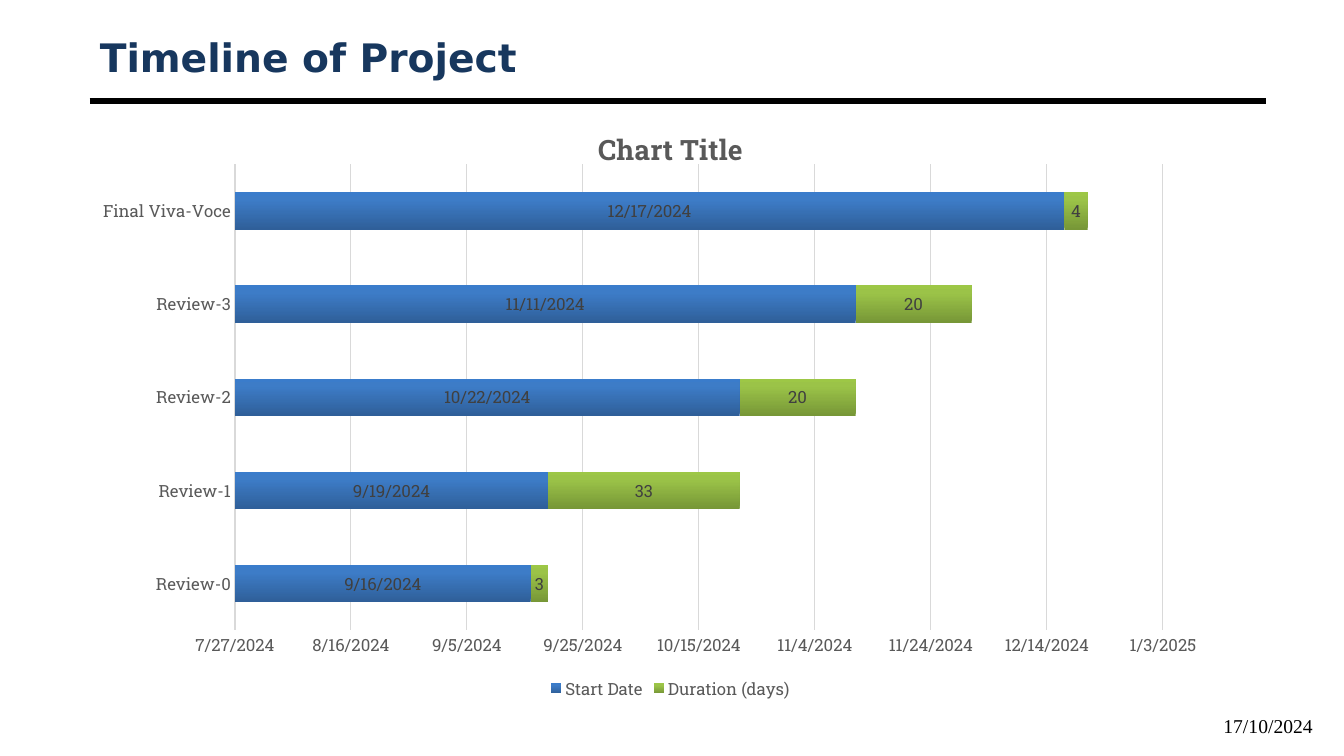
from copy import deepcopy
from dataclasses import dataclass

from lxml.etree import SubElement
from pptx import Presentation
from pptx.chart.data import CategoryChartData
from pptx.dml.color import RGBColor
from pptx.enum.chart import (XL_CHART_TYPE as ChartType, XL_LABEL_POSITION as LabelPos,
                             XL_LEGEND_POSITION as LegendPos, XL_TICK_MARK as TickMark)
from pptx.enum.shapes import MSO_CONNECTOR as Connector
from pptx.enum.text import MSO_ANCHOR as Anchor, PP_ALIGN as Align
from pptx.oxml.ns import qn
from pptx.util import Inches, Pt


@dataclass(frozen=True)
class Theme:
    title: str = "17375E"
    ink: str = "000000"
    label: str = "404040"
    axis: str = "595959"
    grid: str = "D9D9D9"
    start: tuple = ((0, "2F5F99"), (0.8, "3D7CC7"), (1, "3A7CCB"))
    duration: tuple = ((0, "779737"), (0.8, "9BC348"), (1, "9DC746"))
    title_font: str = "DejaVu Sans"
    chart_font: str = "Roboto Slab"
    date_font: str = "Times New Roman"
    title_size: int = 28
    heading_size: int = 20
    date_size: int = 14
    chart_size: int = 12


@dataclass(frozen=True)
class Box:
    left: float
    top: float
    width: float
    height: float

    def lengths(self):
        return [Inches(n) for n in (self.left, self.top, self.width, self.height)]


THEME = Theme()
DATE_FORMAT = "m/d/yyyy"
REVIEWS = {  # review: (start as a date serial, days)
    "Review-0": (45551, 3),
    "Review-1": (45554, 33),
    "Review-2": (45587, 20),
    "Review-3": (45607, 20),
    "Final Viva-Voce": (45643, 4),
}


def set_values(target, **values):
    for name, value in values.items():
        setattr(target, name, value)


def set_font(font, name, size, color, bold=False):
    set_values(font, name=name, size=Pt(size), bold=bold)
    font.color.rgb = RGBColor.from_string(color)


def set_line(line, color, width):
    line.color.rgb = RGBColor.from_string(color)
    line.width = Pt(width)


def add_title(page, box, text):
    title = page.shapes.title
    left, top, width, height = box.lengths()
    set_values(title, left=left, top=top, width=width, height=height)
    frame = title.text_frame
    set_values(frame, word_wrap=True, vertical_anchor=Anchor.MIDDLE)
    para = frame.paragraphs[0]
    para.alignment = Align.LEFT
    span = para.add_run()
    span.text = text
    set_font(span.font, THEME.title_font, THEME.title_size, THEME.title, True)

    # Rule below the title
    rule_y = Inches(1)
    rule = page.shapes.add_connector(Connector.STRAIGHT, left, rule_y, left + width, rule_y)
    set_line(rule.line, THEME.ink, 4.5)
    SubElement(rule._element.spPr, qn("a:effectLst"))


def add_date(page, box, text):
    frame = page.shapes.add_textbox(*box.lengths()).text_frame
    set_values(frame, word_wrap=True, vertical_anchor=Anchor.MIDDLE)
    para = frame.paragraphs[0]
    para.alignment = Align.RIGHT
    span = para.add_run()
    span.text = text
    set_font(span.font, THEME.date_font, THEME.date_size, THEME.ink)


def place_plot(chart, **shares):
    """Fix the inner plot area as shares of the chart."""
    area = chart._chartSpace.chart.plotArea
    layout = area.find(qn("c:layout"))
    if layout is None:
        layout = SubElement(area, qn("c:layout"))
        area.insert(0, layout)
    manual = SubElement(layout, qn("c:manualLayout"))
    settings = {"layoutTarget": "inner", "xMode": "edge", "yMode": "edge", **shares}
    for name, value in settings.items():
        SubElement(manual, qn(f"c:{name}")).set("val", str(value))


def style_series(series, stops, number_format):
    fill = series.format.fill
    fill.gradient()
    fill.gradient_angle = 90
    stop_list = series._element.find(".//" + qn("a:gsLst"))
    stop_list.append(deepcopy(stop_list[-1]))
    for stop, (position, color) in zip(fill.gradient_stops, stops):
        stop.position = position
        stop.color.rgb = RGBColor.from_string(color)
    labels = series.data_labels
    set_values(labels, show_value=True, position=LabelPos.CENTER,
               number_format=number_format, number_format_is_linked=False)
    set_font(labels.font, THEME.chart_font, THEME.chart_size, THEME.label)


def add_timeline(page, box):
    starts, days = zip(*REVIEWS.values())
    data = CategoryChartData()
    data.categories = list(REVIEWS)
    data.add_series("Start Date", starts, DATE_FORMAT)
    data.add_series("Duration (days)", days, "General")
    chart = page.shapes.add_chart(ChartType.BAR_STACKED, *box.lengths(), data).chart
    set_font(chart.font, THEME.chart_font, THEME.chart_size, THEME.axis)
    place_plot(chart, x=0.125, y=0.098, w=0.799, h=0.779)

    # Heading and legend
    span = chart.chart_title.text_frame.paragraphs[0].add_run()
    span.text = "Chart Title"
    set_font(span.font, THEME.chart_font, THEME.heading_size, THEME.axis, True)
    chart.has_legend = True
    set_values(chart.legend, position=LegendPos.BOTTOM, include_in_layout=False)
    set_font(chart.legend.font, THEME.chart_font, THEME.chart_size, THEME.axis)

    # Axes
    for axis in (chart.category_axis, chart.value_axis):
        set_values(axis, major_tick_mark=TickMark.NONE, minor_tick_mark=TickMark.NONE)
        set_font(axis.tick_labels.font, THEME.chart_font, THEME.chart_size, THEME.axis)
    set_line(chart.category_axis.format.line, THEME.grid, 1)
    dates = chart.value_axis
    set_values(dates, minimum_scale=45500, maximum_scale=45660, major_unit=20,
               has_major_gridlines=True)
    set_values(dates.tick_labels, number_format=DATE_FORMAT, number_format_is_linked=False)
    set_line(dates.major_gridlines.format.line, THEME.grid, 0.75)
    dates.format.line.fill.background()

    # Bars
    plot = chart.plots[0]
    set_values(plot, gap_width=150, overlap=100, vary_by_categories=False)
    looks = ((THEME.start, DATE_FORMAT), (THEME.duration, "General"))
    for series, (stops, number_format) in zip(plot.series, looks):
        style_series(series, stops, number_format)


def main():
    deck = Presentation()
    set_values(deck, slide_width=Inches(13.33), slide_height=Inches(7.5))
    page = deck.slides.add_slide(deck.slide_layouts[5])
    add_title(page, Box(0.89, 0.3, 11.67, 0.53), "Timeline of Project")
    add_date(page, Box(10.01, 7, 3.11, 0.4), "17/10/2024")
    add_timeline(page, Box(0.89, 1.05, 11.52, 5.93))
    deck.save("out.pptx")


if __name__ == "__main__":
    main()
